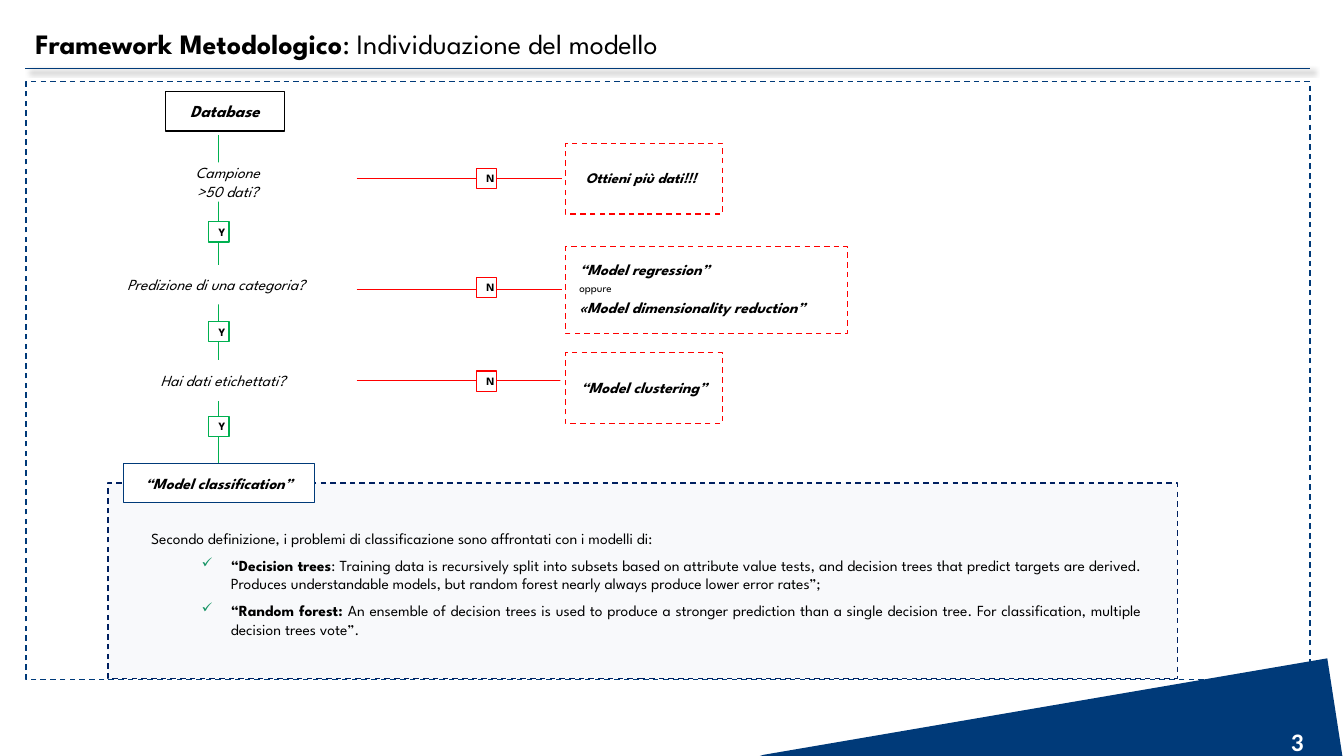
import pptx
import pptx.dml.color
import pptx.enum.dml
import pptx.enum.shapes
import pptx.enum.text
import pptx.oxml
import pptx.oxml.ns
import pptx.util
from lxml import etree

Cm, Pt = pptx.util.Cm, pptx.util.Pt
ALIGN = pptx.enum.text.PP_ALIGN
ANCHOR = pptx.enum.text.MSO_ANCHOR
FONT = "League Spartan"
NAVY, RED, GREEN = "003A79", "FF0000", "00B050"
BLACK, WHITE = "000000", "FFFFFF"
ROW_H = 0.99
BADGE = 0.51


def rgb(color):
    return pptx.dml.color.RGBColor.from_string(color)


def add_xml(parent, xml):
    """Append a drawing element written as XML."""
    ns = pptx.oxml.ns.nsdecls("a")
    parent.append(pptx.oxml.parse_xml(xml.replace(">", f" {ns}>", 1)))


def add_run(p, text, size=11, bold=False, italic=False, color=BLACK, font=FONT):
    r = p.add_run()
    r.text = text
    r.font.name, r.font.size = font, Pt(size)
    r.font.bold, r.font.italic = bold, italic
    r.font.color.rgb = rgb(color)


def add_box(s, x, y, w, h, fill=None, line=None, dashed=False, alpha=None):
    sp = s.shapes.add_shape(pptx.enum.shapes.MSO_SHAPE.RECTANGLE,
                            Cm(x), Cm(y), Cm(w), Cm(h))
    sp.shadow.inherit = False
    if fill:
        sp.fill.solid()
        sp.fill.fore_color.rgb = rgb(fill)
    else:
        sp.fill.background()
    if alpha:
        clr = sp.fill._xPr.find(".//" + pptx.oxml.ns.qn("a:srgbClr"))
        etree.SubElement(clr, pptx.oxml.ns.qn("a:alpha")).set("val", str(alpha * 1000))
    if line:
        sp.line.color.rgb = rgb(line)
        sp.line.width = Pt(1)
        if dashed:
            sp.line.dash_style = pptx.enum.dml.MSO_LINE.DASH
    else:
        sp.line.fill.background()
    return sp


def add_label(s, x, y, w, h, lines, line=None, size=11, bold=False, italic=True):
    """White box with centred text, one paragraph per line."""
    tf = add_box(s, x, y, w, h, WHITE, line).text_frame
    tf.word_wrap = True
    tf.vertical_anchor = ANCHOR.MIDDLE
    for i, text in enumerate(lines):
        p = tf.add_paragraph() if i else tf.paragraphs[0]
        p.alignment = ALIGN.CENTER
        add_run(p, text, size, bold, italic)


def add_badge(s, x, y, letter, color):
    add_label(s, x, y, BADGE, BADGE, [letter], color, 8, True, False)


def add_line(s, x1, y1, x2, y2, color, width, effect=""):
    c = s.shapes.add_connector(pptx.enum.shapes.MSO_CONNECTOR.STRAIGHT,
                               Cm(x1), Cm(y1), Cm(x2), Cm(y2))
    c.line.color.rgb = rgb(color)
    c.line.width = Pt(width)
    add_xml(c._element.spPr, f"<a:effectLst>{effect}</a:effectLst>")


def add_text(s, x, y, w, h, inset=None):
    tf = s.shapes.add_textbox(Cm(x), Cm(y), Cm(w), Cm(h)).text_frame
    tf.word_wrap = True
    if inset:
        tf.margin_left = tf.margin_right = tf.margin_top = tf.margin_bottom = Cm(inset)
    return tf


def add_header(s):
    sp = s.shapes.title
    sp.left, sp.top, sp.width, sp.height = Cm(0.64), Cm(0.23), Cm(22.73), Cm(1.42)
    tf = sp.text_frame
    tf.auto_size = pptx.enum.text.MSO_AUTO_SIZE.NONE
    tf.vertical_anchor = ANCHOR.BOTTOM
    p = tf.paragraphs[0]
    p.alignment, p.line_spacing = ALIGN.LEFT, 0.9
    add_run(p, "Framework Metodologico", 20, True)
    add_run(p, ": Individuazione del modello", 20)
    shadow = ('<a:outerShdw blurRad="50800" dist="38100" dir="2700000">'
              '<a:srgbClr val="000000"><a:alpha val="40000"/></a:srgbClr></a:outerShdw>')
    add_line(s, 0.64, 1.73, 33.02, 1.73, NAVY, 1, shadow)


def add_footer(s):
    """Slanted corner and page number."""
    fb = s.shapes.build_freeform(Cm(33.83), Cm(19.05))
    fb.add_line_segments([(Cm(x), Cm(y)) for x, y in
                          [(19.15, 19.05), (19.25, 19.02), (33.45, 16.59)]])
    sp = fb.convert_to_shape()
    sp.shadow.inherit = False
    sp.fill.solid()
    sp.fill.fore_color.rgb = rgb(NAVY)
    sp.line.fill.background()
    p = add_text(s, 32.28, 17.65, 0.74, 1.4).paragraphs[0]
    p.alignment, p.line_spacing = ALIGN.JUSTIFY, 1.7
    add_run(p, "3", 18, True, color=WHITE, font="Calibri")


def add_regression(s):
    tf = add_box(s, 14.35, 6.4, 8.2, 2.21, WHITE).text_frame
    tf.word_wrap = True
    tf.vertical_anchor = ANCHOR.MIDDLE
    tf.margin_bottom = Cm(0.6)
    for i, (text, size, strong) in enumerate([
            ("“Model regression”", 11, True),
            ("oppure", 8, False),
            ("«Model dimensionality reduction”", 11, True)]):
        p = tf.add_paragraph() if i else tf.paragraphs[0]
        p.alignment = ALIGN.LEFT
        if i:
            p.space_before = Pt(2.4)
        add_run(p, text, size, strong, strong)


def add_definition(s):
    tf = add_text(s, 3.51, 13.03, 25.58, 4.09, 0.3)
    p = tf.paragraphs[0]
    p.alignment, p.space_after = ALIGN.JUSTIFY, Pt(6)
    add_run(p, "Secondo definizione, i problemi di classificazione sono affrontati con i modelli di:")
    for name, text in [
            ("“Decision trees", ": Training data is recursively split into subsets based on "
             "attribute value tests, and decision trees that predict targets are derived. "
             "Produces understandable models, but random forest nearly always produce "
             "lower error rates”;"),
            ("“Random forest: ", "An ensemble of decision trees is used to produce a stronger "
             "prediction than a single decision tree. For classification, multiple decision "
             "trees vote”.")]:
        p = tf.add_paragraph()
        p.level, p.alignment, p.space_after = 1, ALIGN.JUSTIFY, Pt(6)
        pPr = p._p.get_or_add_pPr()
        pPr.set("marL", str(Cm(2.01)))
        pPr.set("indent", str(Cm(-0.74)))
        add_xml(pPr, '<a:buClr><a:srgbClr val="149363"/></a:buClr>')
        add_xml(pPr, '<a:buSzPct val="90000"></a:buSzPct>')
        add_xml(pPr, '<a:buChar char="✓"></a:buChar>')
        add_run(p, name, bold=True)
        add_run(p, text)


def main():
    prs = pptx.Presentation()
    prs.slide_width, prs.slide_height = Cm(33.87), Cm(19.05)
    s = prs.slides.add_slide(prs.slide_layouts[5])

    # Panel, corner and header
    add_box(s, 2.72, 12.17, 26.95, 4.93, "D6DCE5", "002060", True, 15)
    add_footer(s)
    add_header(s)

    # Decision path: lines, questions and answers
    add_line(s, 5.51, 3.4, 5.51, 11.68, GREEN, 0.5)
    add_label(s, 4.17, 2.31, 3, ROW_H, ["Database"], BLACK, 12, True)
    add_label(s, 4.09, 4.09, 3.3, ROW_H, ["Campione", ">50 dati?"])
    add_label(s, 2.72, 6.68, 5.46, ROW_H, ["Predizione di una categoria?"])
    add_label(s, 2.41, 9.09, 6.43, ROW_H, ["Hai dati etichettati?"], WHITE)
    for y in (5.59, 8.1, 10.49):
        add_badge(s, 5.26, y, "Y", GREEN)
    for line_y, badge_y in ((4.5, 4.24), (7.29, 6.99), (9.58, 9.35)):
        add_line(s, 8.99, line_y, 14.17, line_y, RED, 0.5)
        add_badge(s, 12.01, badge_y, "N", RED)

    # Outcomes
    add_label(s, 14.25, 3.99, 3.81, ROW_H, ["Ottieni più dati!!!"], size=10.5, bold=True)
    add_regression(s)
    add_label(s, 14.12, 9.27, 4.22, ROW_H, ["“Model clustering”"], bold=True)
    for y, w, h in ((3.61, 3.96, 1.78), (6.22, 7.11, 2.18), (8.89, 3.96, 1.78)):
        add_box(s, 14.25, y, w, h, line=RED, dashed=True)

    # Classification and outer frame
    add_definition(s)
    add_label(s, 3.12, 11.68, 4.8, ROW_H, ["“Model classification”"], NAVY, bold=True)
    add_box(s, 0.66, 2.06, 32.36, 15.06, line=NAVY, dashed=True)

    prs.save("out.pptx")


if __name__ == "__main__":
    main()
